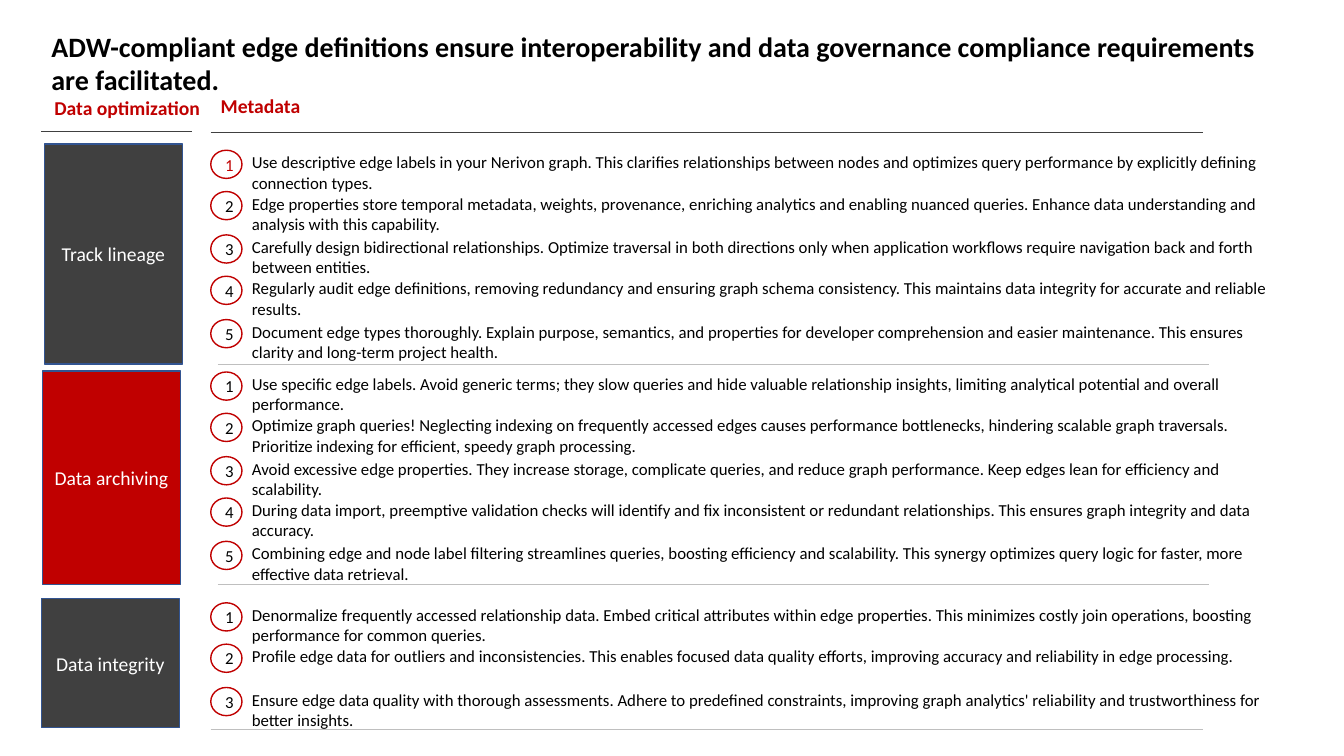
"""Build the slide on edge definitions: three themes with numbered recommendations."""
from lxml.etree import SubElement
from pptx import Presentation
from pptx.dml.color import RGBColor
from pptx.enum.shapes import MSO_CONNECTOR, MSO_SHAPE
from pptx.enum.text import MSO_ANCHOR, MSO_AUTO_SIZE, PP_ALIGN
from pptx.oxml.ns import qn
from pptx.util import Inches, Pt

BLACK = RGBColor(0x00, 0x00, 0x00)
WHITE = RGBColor(0xFF, 0xFF, 0xFF)
RED = RGBColor(0xC0, 0x00, 0x00)
DARK = RGBColor(0x40, 0x40, 0x40)
BLUE = RGBColor(0x32, 0x54, 0x91)
GREY = RGBColor(0xBF, 0xBF, 0xBF)

TITLE = ("ADW-compliant edge definitions ensure interoperability and data governance "
         "compliance requirements are facilitated.")
HEADINGS = [
    ("Data optimization", (0.44, 0.9, 1.66, 0.34), (0.41, 1.9, 1.3)),
    ("Metadata", (2.09, 0.88, 9.96, 0.34), (2.09, 11.93, 1.31)),
]
THEMES = [
    {"name": "Track lineage", "box": (0.44, 1.43, 1.37, 2.18), "fill": DARK,
     "top": 1.46, "rule": (2.16, 11.99, 3.61), "first": RED, "items": [
         "Use descriptive edge labels in your Nerivon graph. This clarifies relationships between "
         "nodes and optimizes query performance by explicitly defining connection types.",
         "Edge properties store temporal metadata, weights, provenance, enriching analytics and "
         "enabling nuanced queries. Enhance data understanding and analysis with this capability.",
         "Carefully design bidirectional relationships. Optimize traversal in both directions only "
         "when application workflows require navigation back and forth between entities.",
         "Regularly audit edge definitions, removing redundancy and ensuring graph schema "
         "consistency. This maintains data integrity for accurate and reliable results.",
         "Document edge types thoroughly. Explain purpose, semantics, and properties for developer "
         "comprehension and easier maintenance. This ensures clarity and long-term project health.",
     ]},
    {"name": "Data archiving", "box": (0.42, 3.68, 1.37, 2.12), "fill": RED,
     "top": 3.66, "rule": (2.16, 11.99, 5.8), "first": BLACK, "items": [
         "Use specific edge labels. Avoid generic terms; they slow queries and hide valuable "
         "relationship insights, limiting analytical potential and overall performance.",
         "Optimize graph queries! Neglecting indexing on frequently accessed edges causes "
         "performance bottlenecks, hindering scalable graph traversals. Prioritize indexing for "
         "efficient, speedy graph processing.",
         "Avoid excessive edge properties. They increase storage, complicate queries, and reduce "
         "graph performance. Keep edges lean for efficiency and scalability.",
         "During data import, preemptive validation checks will identify and fix inconsistent or "
         "redundant relationships. This ensures graph integrity and data accuracy.",
         "Combining edge and node label filtering streamlines queries, boosting efficiency and "
         "scalability. This synergy optimizes query logic for faster, more effective data retrieval.",
     ]},
    {"name": "Data integrity", "box": (0.41, 5.94, 1.37, 1.28), "fill": DARK,
     "top": 5.95, "rule": (2.09, 11.93, 7.24), "first": BLACK, "items": [
         "Denormalize frequently accessed relationship data. Embed critical attributes within edge "
         "properties. This minimizes costly join operations, boosting performance for common queries.",
         "Profile edge data for outliers and inconsistencies. This enables focused data quality "
         "efforts, improving accuracy and reliability in edge processing.",
         "Ensure edge data quality with thorough assessments. Adhere to predefined constraints, "
         "improving graph analytics' reliability and trustworthiness for better insights.",
     ]},
]
ROW_OFFSETS = (0, 0.41, 0.84, 1.25, 1.68)
NUMBER_X, ITEM_X = 2.09, 2.4
NUMBER_DROP = 0.03

BODY = {"size": Pt(12), "color": BLACK, "bold": False}
LABEL = {"size": Pt(14), "color": WHITE, "bold": False}
HEADING = {"size": Pt(14), "color": RED, "bold": True}
HEADLINE = {"size": Pt(20), "color": BLACK, "bold": True}


def write(sp, text, style, align=PP_ALIGN.LEFT, anchor=MSO_ANCHOR.TOP):
    tf = sp.text_frame
    frame = {"word_wrap": True, "auto_size": MSO_AUTO_SIZE.NONE, "vertical_anchor": anchor}
    for key, value in frame.items():
        setattr(tf, key, value)
    p = tf.paragraphs[0]
    p.alignment = align
    r = p.add_run()
    r.text = text
    r.font.color.rgb = style["color"]
    for key, value in {"name": "Calibri", "size": style["size"], "bold": style["bold"]}.items():
        setattr(r.font, key, value)


def add_text(s, box, text, style):
    write(s.shapes.add_textbox(*map(Inches, box)), text, style)


def add_filled(s, kind, box, fill, line, text, style):
    sp = s.shapes.add_shape(kind, *map(Inches, box))
    sp.shadow.inherit = False
    sp.fill.solid()
    sp.fill.fore_color.rgb = fill
    sp.line.color.rgb = line
    sp.line.width = Pt(1)
    write(sp, text, style, PP_ALIGN.CENTER, MSO_ANCHOR.MIDDLE)


def add_rule(s, rule, color):
    left, right, y = map(Inches, rule)
    line = s.shapes.add_connector(MSO_CONNECTOR.STRAIGHT, left, y, right, y)
    line.line.color.rgb = color
    line.line.width = Pt(0.5)
    SubElement(line._element.spPr, qn("a:effectLst"))


def add_theme(s, theme):
    add_filled(s, MSO_SHAPE.RECTANGLE, theme["box"], theme["fill"], BLUE, theme["name"], LABEL)
    for i, (offset, item) in enumerate(zip(ROW_OFFSETS, theme["items"])):
        y = theme["top"] + offset
        style = BODY if i else {**BODY, "color": theme["first"]}
        add_filled(s, MSO_SHAPE.OVAL, (NUMBER_X, y + NUMBER_DROP, 0.31, 0.28),
                   WHITE, RED, str(i + 1), style)
        add_text(s, (ITEM_X, y, 10.5, 0.3), item, BODY)
    add_rule(s, theme["rule"], GREY)


def main():
    prs = Presentation()
    prs.slide_width, prs.slide_height = Inches(13.33), Inches(7.5)
    s = prs.slides.add_slide(prs.slide_layouts[5])
    title = s.shapes.title
    box = map(Inches, (0.41, 0.24, 12.35, 0.44))
    for key, value in zip(("left", "top", "width", "height"), box):
        setattr(title, key, value)
    write(title, TITLE, HEADLINE)
    for text, box, rule in HEADINGS:
        add_text(s, box, text, HEADING)
        add_rule(s, rule, DARK)
    for theme in THEMES:
        add_theme(s, theme)
    prs.save("out.pptx")


if __name__ == "__main__":
    main()
